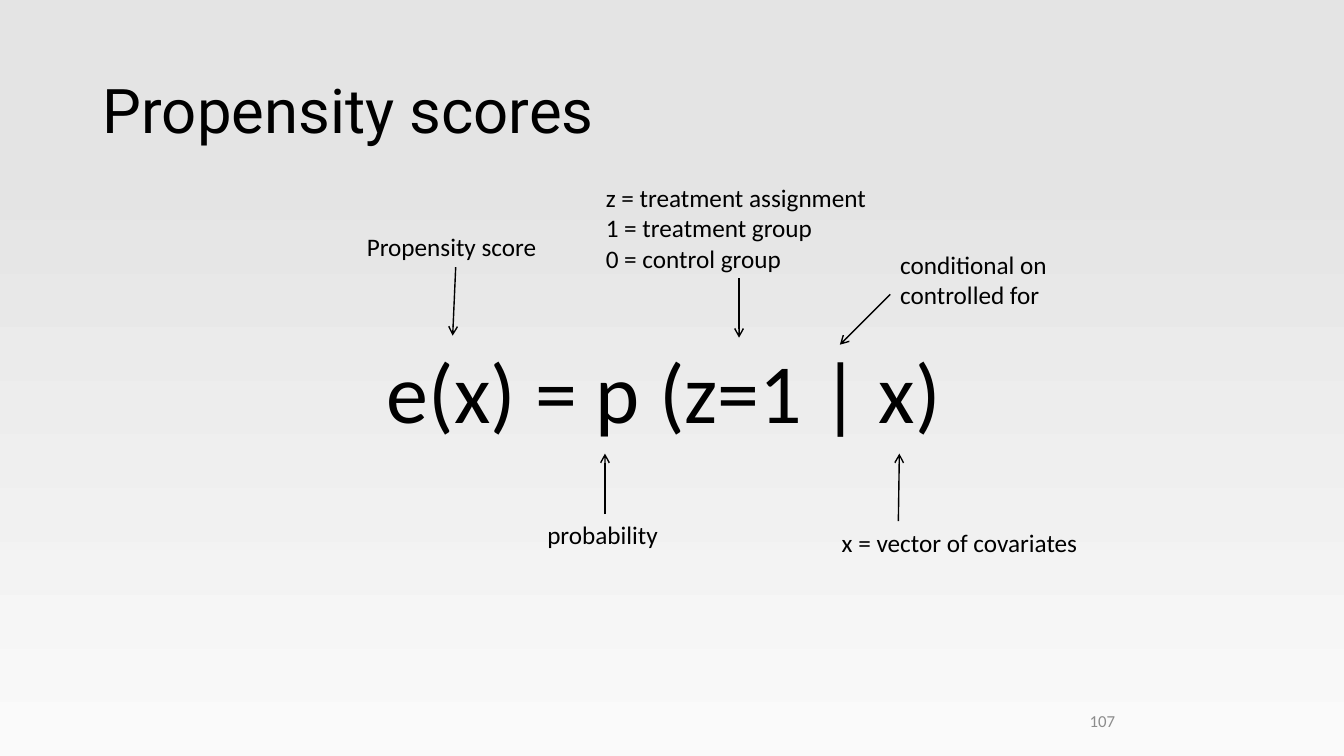
from lxml import etree
from pptx import Presentation
from pptx import util as u
from pptx.dml.color import RGBColor
from pptx.enum import shapes, text
from pptx.oxml.ns import qn

WIDE, HIGH = 13.33, 7.5
HUES = {"ink": "000000", "gray": "8C8C8C", "pale": "FAFAFA", "base": "E4E4E4"}
BODY, HEAD = "Calibri", "Roboto"

# Each label: box, paragraphs of lines, wrapping
LABELS = [
    ((3.54, 2.25, 1.96, 0.4), [["Propensity score"]], False),
    ((5.33, 5.1, 1.37, 0.4), [["probability"]], False),
    ((5.91, 1.76, 2.92, 1.01),
     [["z = treatment assignment", "1 = treatment group", "0 = control group"]], True),
    ((8.25, 5.18, 2.56, 0.4), [["x = vector of covariates"]], False),
    ((8.83, 2.42, 1.68, 0.71), [["conditional on"], ["controlled for"]], False),
]
# Each arrow: start and tip
ARROWS = [
    ((6, 5.1), (6, 4.5)),
    ((4.52, 2.65), (4.49, 3.33)),
    ((7.33, 2.76), (7.33, 3.35)),
    ((8.91, 5.17), (8.92, 4.5)),
    ((8.83, 2.92), (8.33, 3.42)),
]


def hue(name):
    return RGBColor.from_string(HUES[name])


def add_run(para, words, size, font=BODY, color="ink"):
    run = para.add_run()
    run.text = words
    run.font.size, run.font.name = u.Pt(size), font
    run.font.color.rgb = hue(color)


def add_text(slide, box, paras, size, wrap=False, color="ink"):
    frame = slide.shapes.add_textbox(*map(u.Inches, box)).text_frame
    frame.word_wrap = wrap
    for i, lines in enumerate(paras):
        para = frame.add_paragraph() if i else frame.paragraphs[0]
        for j, line in enumerate(lines):
            if j:
                para.add_line_break()
            add_run(para, line, size, color=color)
    return frame


def add_arrow(slide, start, tip):
    arrow = slide.shapes.add_connector(
        shapes.MSO_CONNECTOR.STRAIGHT, *map(u.Inches, start + tip))
    arrow.line.color.rgb = hue("ink")
    arrow.line.width = u.Pt(1)
    etree.SubElement(arrow.line._get_or_add_ln(), qn("a:tailEnd"), type="arrow")
    etree.SubElement(arrow._element.spPr, qn("a:effectLst"))


def paint(slide):
    fill = slide.background.fill
    fill.gradient()
    fill.gradient_angle = 90
    for stop, name, spot in zip(fill.gradient_stops, ("pale", "base"), (0, 0.78)):
        stop.color.rgb = hue(name)
        stop.position = spot


def add_title(slide, box, words):
    title = slide.shapes.title
    title.left, title.top, title.width, title.height = map(u.Inches, box)
    frame = title.text_frame
    frame.vertical_anchor = text.MSO_ANCHOR.MIDDLE
    para = frame.paragraphs[0]
    para.alignment, para.line_spacing = text.PP_ALIGN.LEFT, 0.9
    add_run(para, words, 44, HEAD)


def add_formula(slide, box):
    add_text(slide, box, [["e(x) = p (z=1 | x)"]], 60)
    for place, paras, wrap in LABELS:
        add_text(slide, place, paras, 18, wrap)
    for start, tip in ARROWS:
        add_arrow(slide, start, tip)


def add_number(slide, box, number):
    frame = add_text(slide, box, [[number]], 12, True, "gray")
    frame.vertical_anchor = text.MSO_ANCHOR.MIDDLE
    frame.paragraphs[0].alignment = text.PP_ALIGN.RIGHT


def main():
    deck = Presentation()
    deck.slide_width, deck.slide_height = u.Inches(WIDE), u.Inches(HIGH)
    slide = deck.slides.add_slide(deck.slide_layouts[5])
    paint(slide)
    add_title(slide, (0.92, 0.4, 11.5, 1.45), "Propensity scores")
    add_formula(slide, (3.74, 3.32, 5.76, 1.11))
    add_number(slide, (8.83, 6.95, 2.33, 0.4), "107")
    deck.save("out.pptx")


if __name__ == "__main__":
    main()
